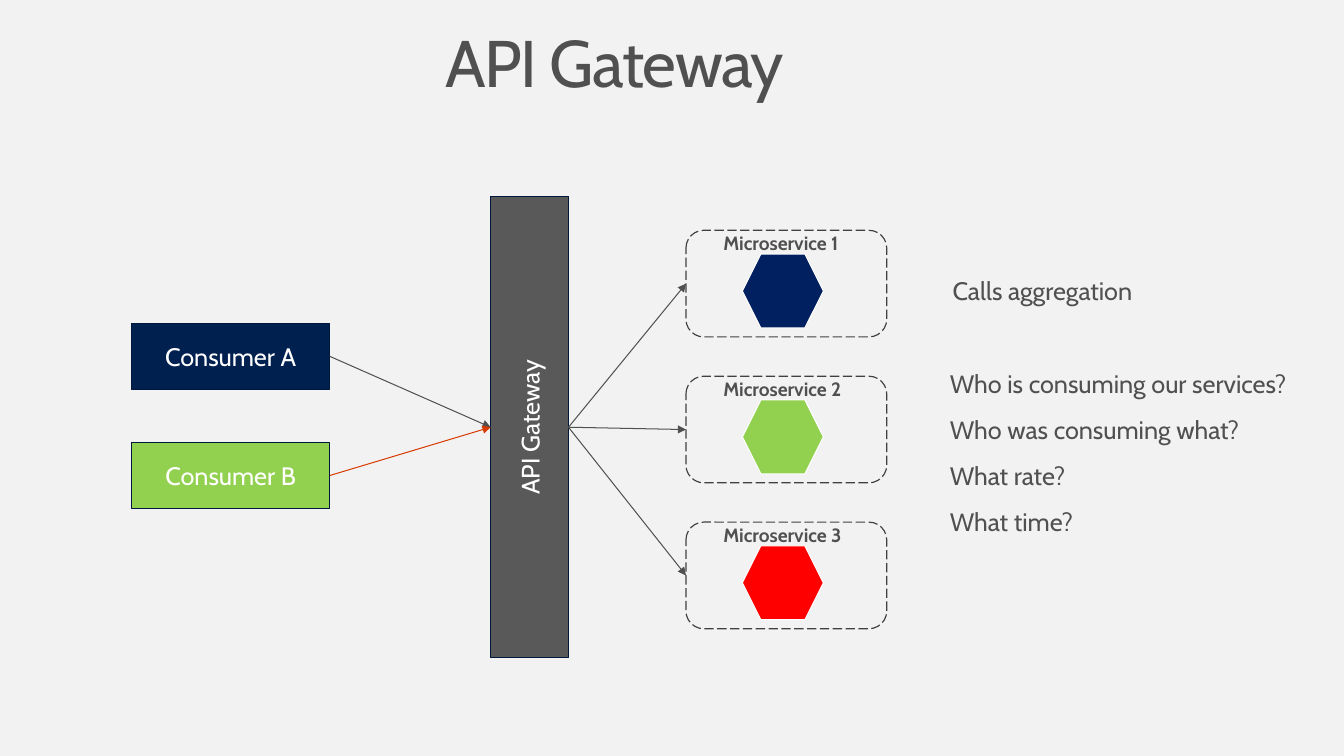
from lxml import etree
from pptx import Presentation
from pptx.dml.color import RGBColor
from pptx.enum import dml, shapes, text
from pptx.oxml.ns import qn
from pptx.util import Cm, Pt

FONT = "Cabin"
BACKGROUND = RGBColor(0xF2, 0xF2, 0xF2)
GREY = RGBColor(0x50, 0x50, 0x50)
GATEWAY_GREY = RGBColor(0x59, 0x59, 0x59)
DASH_GREY = RGBColor(0x40, 0x40, 0x40)
BORDER = RGBColor(0x00, 0x18, 0x3B)
NAVY = RGBColor(0x00, 0x20, 0x50)
BLUE = RGBColor(0x00, 0x20, 0x60)
GREEN = RGBColor(0x92, 0xD0, 0x50)
RED = RGBColor(0xFF, 0x00, 0x00)
ORANGE = RGBColor(0xD8, 0x3B, 0x01)
WHITE = RGBColor(0xFF, 0xFF, 0xFF)

CONSUMERS = [("Consumer A", NAVY, GREY), ("Consumer B", GREEN, ORANGE)]
SERVICE_COLORS = [BLUE, GREEN, RED]
QUESTIONS = [
    ("Who is consuming our services?", 9.93),
    ("Who was consuming what?", 8.51),
    ("What rate?", 3.71),
    ("What time?", 3.89),
]


def format_font(paragraph, size, color, bold=False):
    font = paragraph.font
    font.name = FONT
    font.size = Pt(size)
    font.bold = bold
    font.color.rgb = color


def add_title(slide, words):
    title = slide.shapes.title
    title.left, title.top, title.width, title.height = Cm(2.03), Cm(0.53), Cm(27.53), Cm(2.18)
    frame = title.text_frame
    frame.text = words
    frame.auto_size = text.MSO_AUTO_SIZE.NONE
    frame.vertical_anchor = text.MSO_ANCHOR.TOP
    frame.margin_left = frame.margin_right = Cm(0.41)
    frame.margin_top = frame.margin_bottom = Cm(0.25)
    paragraph = frame.paragraphs[0]
    paragraph.alignment = text.PP_ALIGN.CENTER
    paragraph.line_spacing = 0.9
    format_font(paragraph, 48, GREY)
    paragraph.runs[0]._r.get_or_add_rPr().set("spc", "-100")


def add_shape(slide, kind, left, top, width, height, fill, line, line_width):
    shape = slide.shapes.add_shape(kind, Cm(left), Cm(top), Cm(width), Cm(height))
    shape.shadow.inherit = False
    if fill is None:
        shape.fill.background()
    else:
        shape.fill.solid()
        shape.fill.fore_color.rgb = fill
    shape.line.color.rgb = line
    shape.line.width = Pt(line_width)
    return shape


def add_box(slide, words, left, top, width, height, fill):
    box = add_shape(slide, shapes.MSO_SHAPE.RECTANGLE, left, top, width, height, fill, BORDER, 0.85)
    frame = box.text_frame
    frame.text = words
    frame.vertical_anchor = text.MSO_ANCHOR.MIDDLE
    paragraph = frame.paragraphs[0]
    paragraph.alignment = text.PP_ALIGN.CENTER
    format_font(paragraph, 18.4, WHITE)
    return box


def add_label(slide, words, left, top, width, height=1.06, size=18.4, bold=False):
    label = slide.shapes.add_textbox(Cm(left), Cm(top), Cm(width), Cm(height))
    frame = label.text_frame
    frame.text = words
    frame.word_wrap = False
    frame.auto_size = text.MSO_AUTO_SIZE.SHAPE_TO_FIT_TEXT
    format_font(frame.paragraphs[0], size, GREY, bold)


def add_microservice(slide, name, top, color):
    add_shape(slide, shapes.MSO_SHAPE.HEXAGON, 19.08, top + 0.61, 2.08, 1.9, color, WHITE, 0.75)
    frame = add_shape(slide, shapes.MSO_SHAPE.ROUNDED_RECTANGLE,
                      17.63, top, 5.16, 2.74, None, DASH_GREY, 0.85)
    frame.line.dash_style = dml.MSO_LINE.LONG_DASH
    add_label(slide, name, 18.34, top - 0.1, 3.94, 0.86, 14, True)
    return frame


def add_arrow(slide, source, target, color):
    arrow = slide.shapes.add_connector(shapes.MSO_CONNECTOR.STRAIGHT, 0, 0, 0, 0)
    arrow.begin_connect(source, 3)
    arrow.end_connect(target, 1)
    arrow.line.color.rgb = color
    arrow.line.width = Pt(0.75)
    etree.SubElement(arrow.line._get_or_add_ln(), qn("a:tailEnd"), type="triangle")
    etree.SubElement(arrow._element.spPr, qn("a:effectLst"))


def main():
    presentation = Presentation()
    presentation.slide_width = Cm(34.54)
    presentation.slide_height = Cm(19.43)
    slide = presentation.slides.add_slide(presentation.slide_layouts[5])
    slide.background.fill.solid()
    slide.background.fill.fore_color.rgb = BACKGROUND

    add_title(slide, "API Gateway")
    gateway = add_box(slide, "API Gateway", 12.61, 5.05, 2, 11.86, GATEWAY_GREY)
    gateway.text_frame._txBody.bodyPr.set("vert", "vert270")

    for index, (name, fill, arrow_color) in enumerate(CONSUMERS):
        consumer = add_box(slide, name, 3.38, 8.31 + 3.06 * index, 5.1, 1.7, fill)
        add_arrow(slide, consumer, gateway, arrow_color)

    for index, color in enumerate(SERVICE_COLORS):
        service = add_microservice(slide, f"Microservice {index + 1}", 5.92 + 3.75 * index, color)
        add_arrow(slide, gateway, service, GREY)

    add_label(slide, "Calls aggregation", 24.23, 6.96, 5.54)
    for index, (question, width) in enumerate(QUESTIONS):
        add_label(slide, question, 24.16, 9.35 + 1.18 * index, width)

    presentation.save("out.pptx")


if __name__ == "__main__":
    main()
